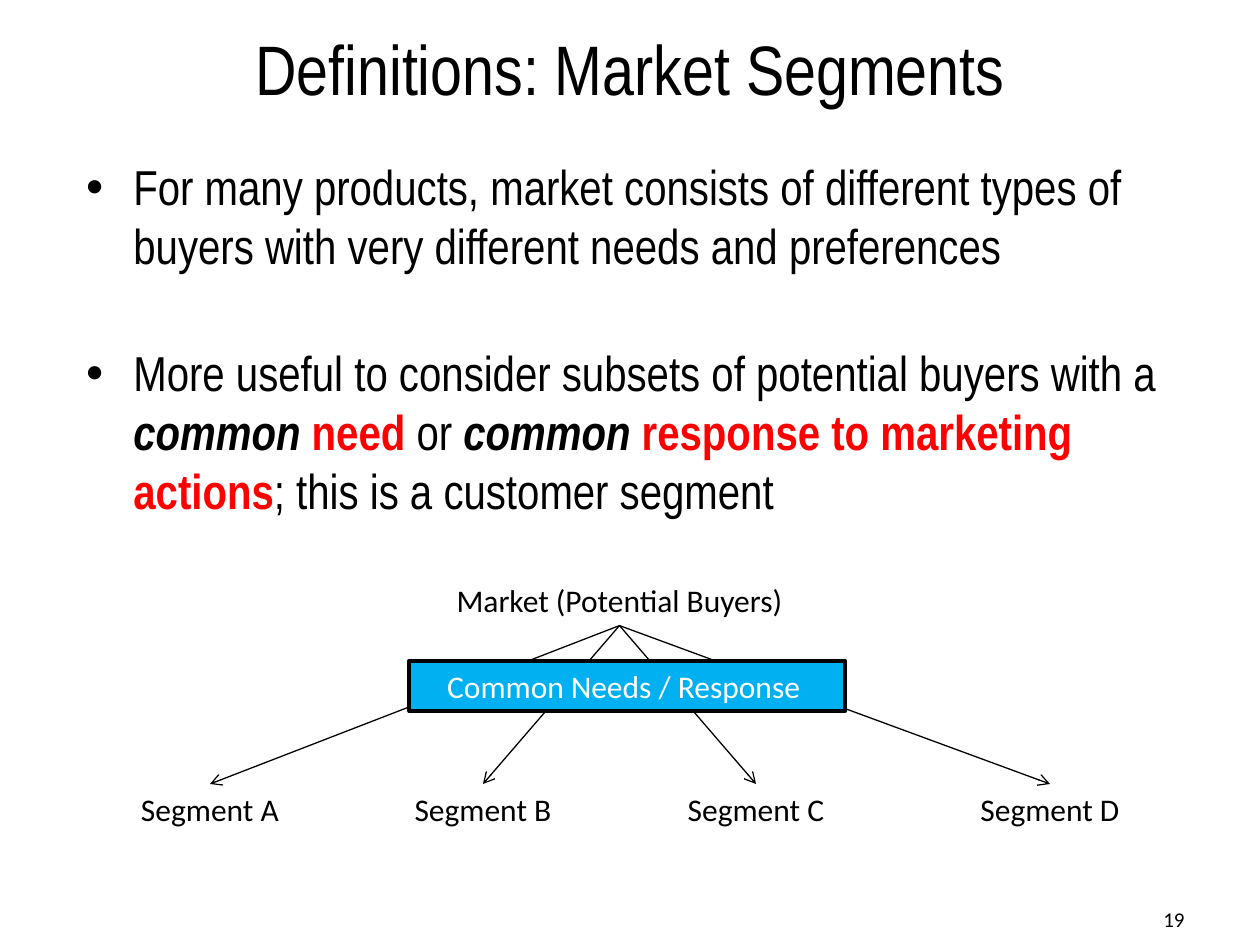
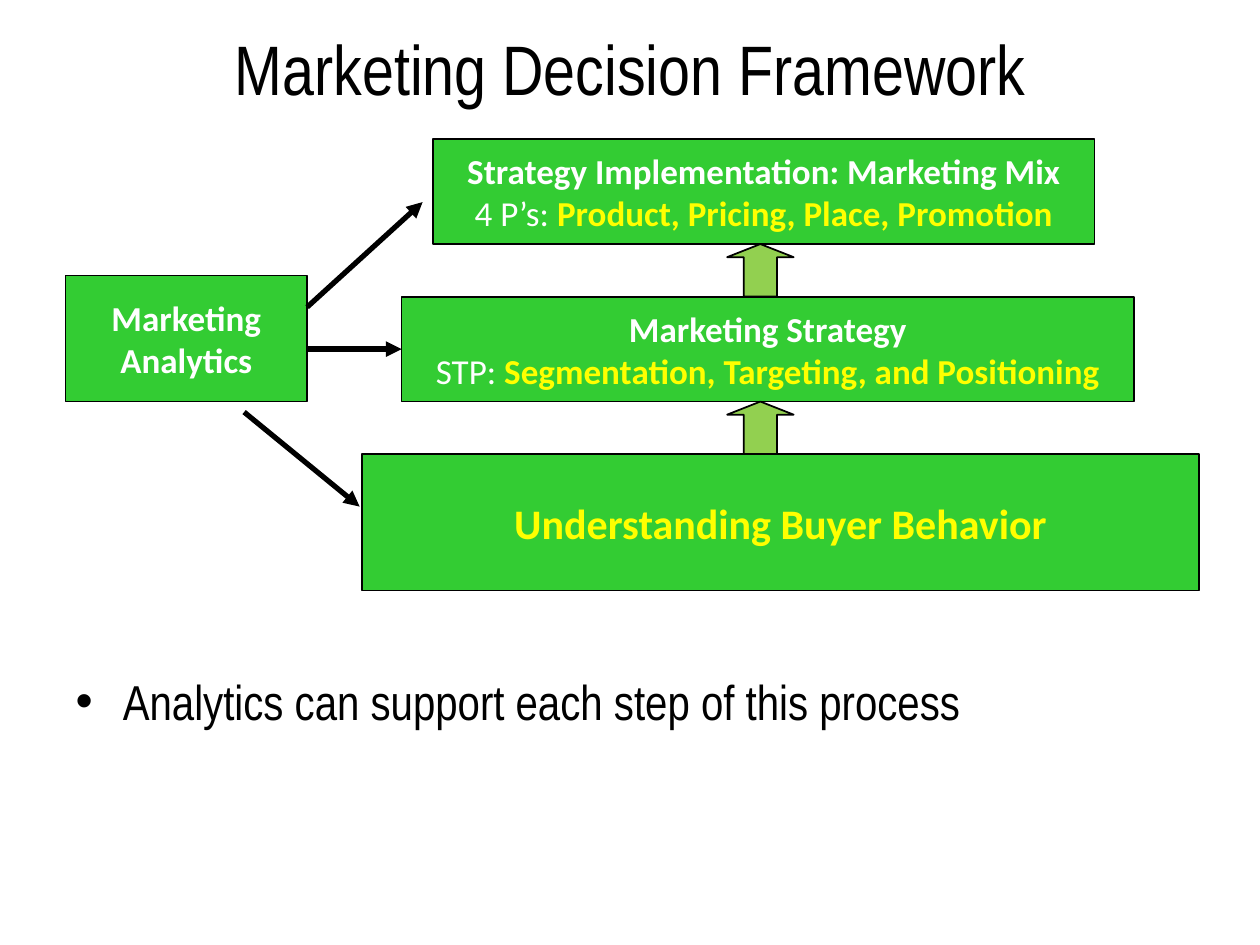
from dataclasses import dataclass

from lxml.etree import SubElement
from pptx import Presentation
from pptx.dml.color import RGBColor
from pptx.enum.shapes import MSO_CONNECTOR as Link, MSO_SHAPE as Preset
from pptx.enum.text import MSO_ANCHOR as Anchor, MSO_AUTO_SIZE as Fit, PP_ALIGN as Align
from pptx.oxml.ns import qn
from pptx.util import Pt

# Shared look
COLORS = {
    "black": "000000", "white": "FFFFFF", "red": "FF0000", "yellow": "FFFF00",
    "blue": "00B0F0", "green": "33CC33", "lime": "92D050",
}
HEADING_FONT, LABEL_FONT = "Arial Narrow", "Calibri"
TITLE_SIZE, BODY_SIZE = 40, 28


@dataclass(frozen=True)
class Span:
    text: str
    color: str = "black"
    bold: bool = False
    italic: bool = False


@dataclass(frozen=True)
class Area:
    left: float
    top: float
    width: float
    height: float

    def lengths(self) -> tuple:
        return Pt(self.left), Pt(self.top), Pt(self.width), Pt(self.height)


@dataclass(frozen=True)
class Panel:
    area: Area
    lines: list
    size: float = 20
    fill: str = "green"
    border: float = 1
    wrap: bool = False


@dataclass(frozen=True)
class Arrow:
    start: tuple
    end: tuple


TITLE_AREA = Area(36, 0, 648, 77)


def rgb(name: str) -> RGBColor:
    return RGBColor.from_string(COLORS[name])


def write(frame, lines: list, size: float, font: str, align=None, gap: float = 0) -> None:
    """Fill a text frame with one paragraph per list of spans."""
    for index, spans in enumerate(lines):
        para = frame.add_paragraph() if index else frame.paragraphs[0]
        para.space_before = Pt(gap if index else 0)
        if align is not None:
            para.alignment = align
        for span in spans:
            run = para.add_run()
            run.text = span.text
            run.font.name, run.font.size = font, Pt(size)
            run.font.bold, run.font.italic = span.bold, span.italic
            run.font.color.rgb = rgb(span.color)


def place(holder, area: Area) -> None:
    holder.left, holder.top, holder.width, holder.height = area.lengths()
    holder.text_frame.auto_size = Fit.NONE


def add_page(deck, title: str, body_area: Area, bullets: list, gap: float = 0):
    page = deck.slides.add_slide(deck.slide_layouts[1])
    heading, body = page.shapes.title, page.placeholders[1]
    place(heading, TITLE_AREA)
    heading.text_frame.vertical_anchor = Anchor.MIDDLE
    write(heading.text_frame, [[Span(title)]], TITLE_SIZE, HEADING_FONT, Align.CENTER)
    place(body, body_area)
    write(body.text_frame, bullets, BODY_SIZE, HEADING_FONT, gap=gap)
    return page


def add_label(page, text: str, area: Area, size: float = 18, align=Align.CENTER,
              anchor=Anchor.TOP):
    box = page.shapes.add_textbox(*area.lengths())
    box.text_frame.word_wrap = True
    box.text_frame.vertical_anchor = anchor
    write(box.text_frame, [[Span(text)]], size, LABEL_FONT, align)
    return box


def add_solid(page, preset, area: Area, fill: str, border: float):
    shape = page.shapes.add_shape(preset, *area.lengths())
    shape.shadow.inherit = False
    shape.fill.solid()
    shape.fill.fore_color.rgb = rgb(fill)
    shape.line.color.rgb = rgb("black")
    shape.line.width = Pt(border)
    return shape


def add_panel(page, panel: Panel):
    box = add_solid(page, Preset.RECTANGLE, panel.area, panel.fill, panel.border)
    box.text_frame.word_wrap = panel.wrap
    box.text_frame.vertical_anchor = Anchor.MIDDLE
    write(box.text_frame, panel.lines, panel.size, LABEL_FONT, Align.CENTER)
    return box


def add_arrow(page, arrow: Arrow, width: float, head: str):
    points = [Pt(value) for value in (*arrow.start, *arrow.end)]
    connector = page.shapes.add_connector(Link.STRAIGHT, *points)
    connector.line.color.rgb = rgb("black")
    connector.line.width = Pt(width)
    SubElement(connector.line._get_or_add_ln(), qn("a:tailEnd"), type=head)
    SubElement(connector._element.spPr, qn("a:effectLst"))
    return connector


def build_segments(deck) -> None:
    bullets = [
        [Span("For many products, market consists of different types of buyers "
              "with very different needs and preferences")],
        [Span("More useful to consider subsets of potential buyers with a "),
         Span("common ", bold=True, italic=True),
         Span("need", "red", bold=True),
         Span(" or "),
         Span("common ", bold=True, italic=True),
         Span("response to marketing actions", "red", bold=True),
         Span("; this is a customer segment")],
    ]
    page = add_page(deck, "Definitions: Market Segments",
                    Area(42, 86, 630, 259), bullets, gap=39)
    add_label(page, "19", Area(516, 510.5, 168, 29), 12, Align.RIGHT, Anchor.MIDDLE)

    # Market fanning out to its segments
    market = add_label(page, "Market (Potential Buyers)", Area(186, 328.5, 336, 29))
    for letter, left in zip("ABCD", (48, 204, 360, 528)):
        segment = add_label(page, f"Segment {letter}", Area(left, 448, 144, 36.5))
        arrow = add_arrow(page, Arrow((354, 357.5), (left + 72, 448)), 0.75, "arrow")
        arrow.begin_connect(market, 2)
        arrow.end_connect(segment, 0)
    add_panel(page, Panel(Area(234, 377.5, 249, 29),
                          [[Span("Common Needs / Response ", "white")]],
                          size=18, fill="blue", border=2.25, wrap=True))


def build_framework(deck) -> None:
    page = add_page(deck, "Marketing Decision Framework", Area(36, 380, 648, 124),
                    [[Span("Analytics can support each step of this process")]])

    # Three steps, stacked at an equal pitch
    first_top, step_height, pitch = 79.5, 60, 90
    tops = [first_top + pitch * index for index in range(3)]
    mix = Panel(Area(247.5, tops[0], 378, step_height), [
        [Span("Strategy Implementation: Marketing Mix", "white", True)],
        [Span("4 P’s: ", "white"),
         Span("Product, Pricing, Place, Promotion", "yellow", True)]])
    strategy = Panel(Area(229.5, tops[1], 418.5, step_height), [
        [Span("Marketing Strategy", "white", True)],
        [Span("STP: ", "white"),
         Span("Segmentation, Targeting, and Positioning", "yellow", True)]])
    behavior = Panel(Area(207, tops[2], 478, 78),
                     [[Span("Understanding Buyer Behavior", "yellow", True)]], size=24)
    analytics = Panel(Area(37.5, 157.5, 138, 72),
                      [[Span(word, "white", True)] for word in ("Marketing", "Analytics")])
    _, strategy_box, _, _ = [add_panel(page, panel)
                             for panel in (mix, strategy, behavior, analytics)]

    # Analytics supports every step
    middle = tops[1] + step_height / 2
    arrows = [Arrow((175.5, 175.5), (241.5, 115.5)),
              Arrow((175.5, middle), (229.5, middle)),
              Arrow((139.5, 235.5), (205.5, 289.5))]
    _, to_strategy, _ = [add_arrow(page, arrow, 3, "triangle") for arrow in arrows]
    to_strategy.end_connect(strategy_box, 1)

    # Each step feeds the one above
    for top in tops[:2]:
        block = add_solid(page, Preset.UP_ARROW,
                          Area(415.5, top + step_height, 38, pitch - step_height), "lime", 1)
        block.adjustments[0], block.adjustments[1] = 0.5, 0.25


def main() -> None:
    deck = Presentation()
    deck.slide_width, deck.slide_height = Pt(720), Pt(540)
    build_segments(deck)
    build_framework(deck)
    deck.save("out.pptx")


if __name__ == "__main__":
    main()
